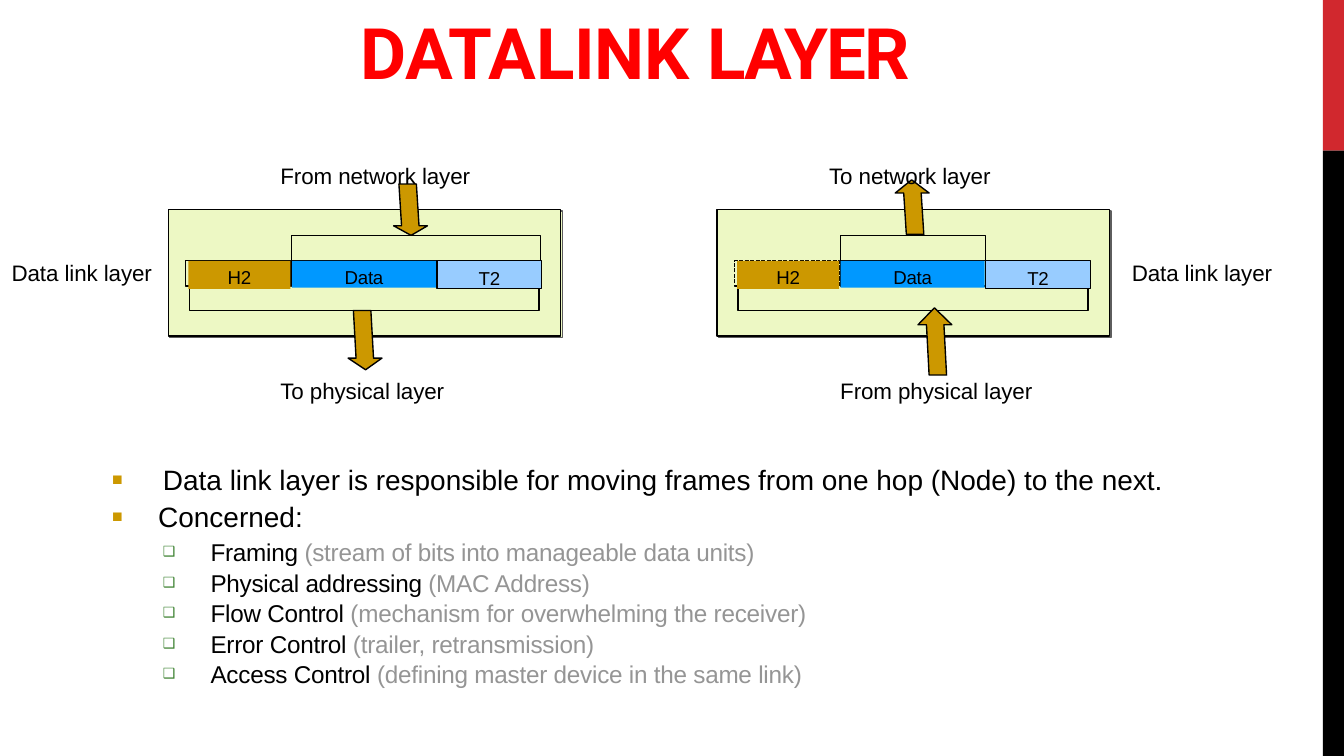
from lxml.etree import SubElement
from pptx import Presentation
from pptx.dml.color import RGBColor
from pptx.enum.dml import MSO_LINE
from pptx.enum.shapes import MSO_SHAPE
from pptx.enum.text import MSO_ANCHOR, PP_ALIGN
from pptx.oxml.ns import qn
from pptx.util import Cm, Pt

RED = RGBColor(0xD1, 0x28, 0x2E)
TITLE = RGBColor(0xFF, 0x00, 0x00)
BLACK = RGBColor(0x00, 0x00, 0x00)
SHADE = RGBColor(0x5E, 0x5E, 0x5E)
LIME = RGBColor(0xED, 0xF8, 0xC4)
GOLD = RGBColor(0xCC, 0x98, 0x00)
BLUE = RGBColor(0x00, 0x98, 0xFF)
SKY = RGBColor(0x98, 0xCC, 0xFF)
GREEN = RGBColor(0x3A, 0x80, 0x2E)
GRAY = RGBColor(0x95, 0x95, 0x95)

deck = Presentation()
deck.slide_width, deck.slide_height = Cm(25.4), Cm(14.29)
slide = deck.slides.add_slide(deck.slide_layouts[6])
shapes = slide.shapes


def rect(x, y, w, h, fill=None, line=None):
    shape = shapes.add_shape(MSO_SHAPE.RECTANGLE, Cm(x), Cm(y), Cm(w), Cm(h))
    shape.shadow.inherit = False
    if fill is None:
        shape.fill.background()
    else:
        shape.fill.solid()
        shape.fill.fore_color.rgb = fill
    if line is None:
        shape.line.fill.background()
    else:
        shape.line.color.rgb = line
        shape.line.width = Pt(0.75)
    return shape


def write(shape, rows, size, top=0, align=PP_ALIGN.LEFT, gap=0, name="Arial", bold=False):
    frame = shape.text_frame
    style = {"word_wrap": True, "margin_left": 0, "margin_right": 0,
             "margin_top": Cm(top), "margin_bottom": 0}
    for key, value in style.items():
        setattr(frame, key, value)
    look = {"name": name, "size": Pt(size), "bold": bold}
    for i, runs in enumerate(rows):
        para = frame.add_paragraph() if i else frame.paragraphs[0]
        para.alignment = align
        para.space_before = Pt(gap if i else 0)
        for text, color, space in runs:
            run = para.add_run()
            run.text = text
            for key, value in look.items():
                setattr(run.font, key, value)
            run.font.color.rgb = color
            run.font._element.set("spc", str(space))
    return frame


rect(25, 0, 0.4, 2.85, RED)
rect(25, 2.85, 0.4, 11.44, BLACK)

shift = 10.37
paths = []
for x, end in ((0, 10.21), (shift, 8.26)):
    rect(x + 3.21, 3.99, 7.42, 2.39, LIME, SHADE)
    rect(x + 3.18, 3.96, 7.42, 2.39, LIME, BLACK)
    rect(x + 5.51, 4.93, 2.75, 0.48, None, BLACK)
    edge = rect(x + 3.51, 4.93, 1.98, 0.48, None, BLACK)
    if x:
        edge.line.dash_style = MSO_LINE.SQUARE_DOT
    for text, left, w, h, fill, line, top in (
        ("Data", 5.52, 2.72, 0.51, BLUE, None, 0.1),
        ("H2", 3.56, 1.93, 0.53, GOLD, None, 0.1),
        ("T2", 8.26, 1.98, 0.53, SKY, BLACK, 0.12),
    ):
        cell = rect(x + left, 4.93, w, h, fill, line)
        frame = write(cell, [[(text, BLACK, -10)]], 10, top, PP_ALIGN.CENTER)
        frame.vertical_anchor = MSO_ANCHOR.MIDDLE
    for left, right, near, far in ((3.58, 10.19, 5.46, 5.87), (5.51, end, 4.93, 4.45)):
        paths.append(([(x + left, near), (x + left, far),
                       (x + right, far), (x + right, near)], False))

for x, y, h, head, up in (
    (6.58, 5.87, 1.12, 0.22, False),
    (7.44, 3.48, 0.97, 0.18, False),
    (17.35, 5.82, 1.27, 0.32, True),
    (16.92, 3.4, 1.03, 0.25, True),
):
    neck = h - head
    down = [(0.43, 0), (0.1, 0), (0.15, neck), (0, neck),
            (0.33, h), (0.64, neck), (0.48, neck)]
    paths.append(([(x + 0.64 - a, y + h - b) if up else (x + a, y + b)
                   for a, b in down], True))

for points, closed in paths:
    marks = [(Cm(a), Cm(b)) for a, b in points]
    pen = shapes.build_freeform(*marks[0], scale=1.0)
    pen.add_line_segments(marks[1:], close=closed)
    shape = pen.convert_to_shape()
    shape.shadow.inherit = False
    shape.line.color.rgb = BLACK
    shape.line.width = Pt(0.75)
    if closed:
        shape.fill.solid()
        shape.fill.fore_color.rgb = GOLD
    else:
        shape.fill.background()

for text, x, y, w in (
    ("From network layer", 5.3, 3.06, 3.75),
    ("To network layer", 15.67, 3.06, 3.25),
    ("To physical layer", 5.3, 7.12, 3.3),
    ("From physical layer", 15.88, 7.12, 3.8),
    ("Data link layer", 0.22, 4.89, 2.8),
    ("Data link layer", 21.39, 4.89, 2.8),
):
    label = shapes.add_textbox(Cm(x), Cm(y), Cm(w), Cm(0.52))
    write(label, [[(text, BLACK, -5)]], 12)

main = [
    [("Data link layer is responsible for moving frames from one hop (Node) to the next.", BLACK, 0)],
    [("Concerned:", BLACK, 0)],
]
parts = [
    [(a + " ", BLACK, -10), (b, GRAY, -10)] for a, b in (
        ("Framing", "(stream of bits into manageable data units)"),
        ("Physical addressing", "(MAC Address)"),
        ("Flow Control", "(mechanism for overwhelming the receiver)"),
        ("Error Control", "(trailer, retransmission)"),
        ("Access Control", "(defining master device in the same link)"),
    )
]
for rows, x, y, w, h, size, gap, marks, sign, color, ratio in (
    (main, 2.12, 8.74, 21, 1.3, 15, 2, (0.96, 0.87), "■", GOLD, 63),
    (parts, 3.08, 10.16, 13, 2.8, 13, 0.7, (0.9,) * 5, "❑", GREEN, 58),
):
    body = shapes.add_textbox(Cm(x), Cm(y), Cm(w), Cm(h))
    frame = write(body, rows, size, gap=gap)
    for para, mark in zip(frame.paragraphs, marks):
        props = para._p.get_or_add_pPr()
        props.set("marL", str(Cm(mark)))
        props.set("indent", str(-Cm(mark)))
        tint = SubElement(props, qn("a:buClr"))
        SubElement(tint, qn("a:srgbClr")).set("val", str(color))
        SubElement(props, qn("a:buSzPct")).set("val", str(ratio * 1000))
        SubElement(props, qn("a:buFont")).set("typeface", "Arial")
        SubElement(props, qn("a:buChar")).set("char", sign)

title = shapes.add_textbox(Cm(6.81), Cm(0.13), Cm(10.75), Cm(1.65))
frame = write(title, [[("DATALINK ", TITLE, -10), ("LAYER", TITLE, -120)]],
              38, name="Roboto", bold=True)
frame.vertical_anchor = MSO_ANCHOR.BOTTOM

deck.save("out.pptx")
